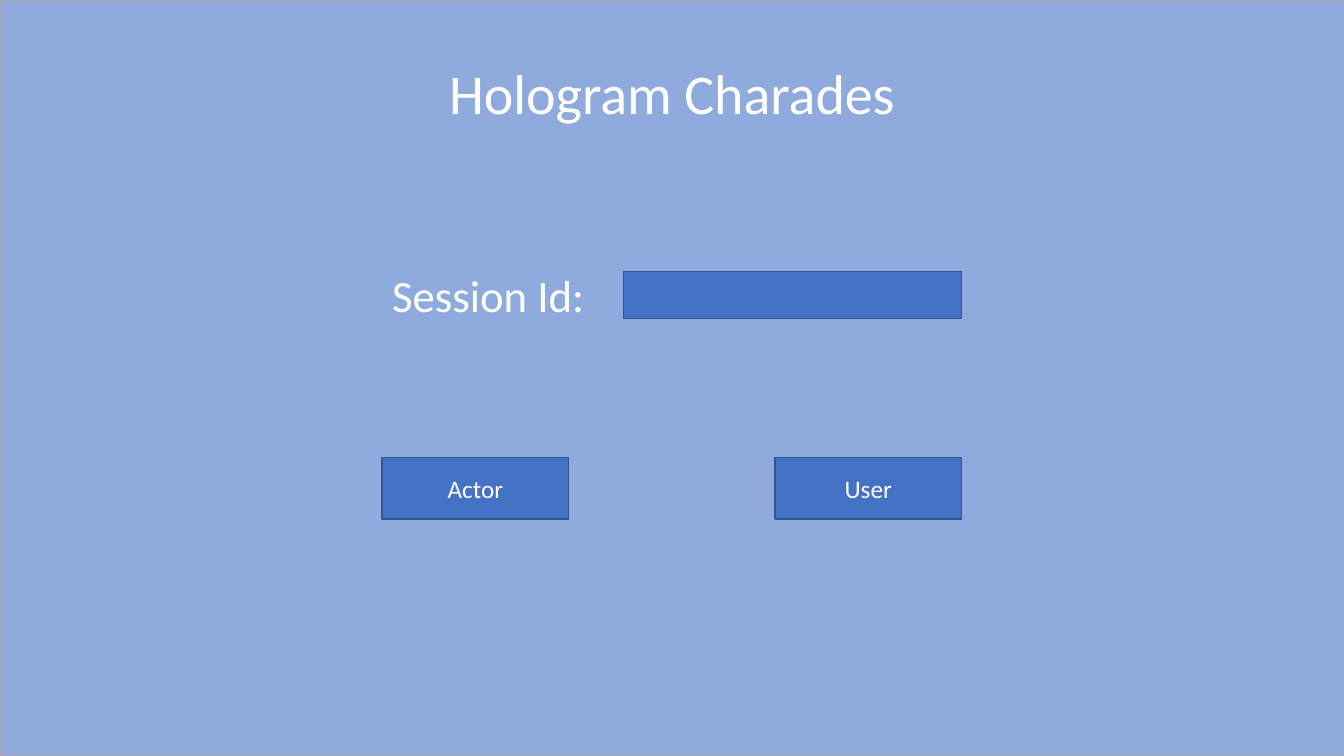
import pptx
import pptx.dml.color
import pptx.enum.shapes
import pptx.enum.text
import pptx.util
from pptx.util import Cm

FONT = "Calibri"
WHITE = "FFFFFF"
BACKDROP = "8FAADC"
BACKDROP_EDGE = "A6A6A6"
CONTROL = "4472C4"
CONTROL_EDGE = "325491"

SLIDE_WIDTH, SLIDE_HEIGHT = 33.87, 19.05
FORM_LEFT, FORM_RIGHT = 9.63, 24.23
BUTTON_WIDTH = 4.7


def color(hex_code):
    return pptx.dml.color.RGBColor.from_string(hex_code)


def write(frame, text, size, alignment):
    frame.text = text
    paragraph = frame.paragraphs[0]
    paragraph.alignment = alignment
    font = paragraph.runs[0].font
    font.name = FONT
    font.size = pptx.util.Pt(size)
    font.color.rgb = color(WHITE)


def add_panel(slide, left, top, width, height, fill, edge):
    panel = slide.shapes.add_shape(
        pptx.enum.shapes.MSO_SHAPE.RECTANGLE,
        Cm(left), Cm(top), Cm(width), Cm(height))
    panel.shadow.inherit = False
    panel.fill.solid()
    panel.fill.fore_color.rgb = color(fill)
    panel.line.color.rgb = color(edge)
    panel.line.width = pptx.util.Pt(1)
    return panel


def add_label(slide, left, top, width, height, text, size, alignment):
    label = slide.shapes.add_textbox(Cm(left), Cm(top), Cm(width), Cm(height))
    frame = label.text_frame
    frame.word_wrap = True
    frame.auto_size = pptx.enum.text.MSO_AUTO_SIZE.SHAPE_TO_FIT_TEXT
    write(frame, text, size, alignment)


def add_button(slide, left, caption):
    button = add_panel(slide, left, 11.53, BUTTON_WIDTH, 1.55,
                       CONTROL, CONTROL_EDGE)
    button.text_frame.vertical_anchor = pptx.enum.text.MSO_ANCHOR.MIDDLE
    write(button.text_frame, caption, 18, pptx.enum.text.PP_ALIGN.CENTER)


def main():
    deck = pptx.Presentation()
    deck.slide_width = Cm(SLIDE_WIDTH)
    deck.slide_height = Cm(SLIDE_HEIGHT)
    slide = deck.slides.add_slide(deck.slide_layouts[6])

    add_panel(slide, 0, 0, SLIDE_WIDTH, SLIDE_HEIGHT, BACKDROP, BACKDROP_EDGE)
    add_label(slide, 10.57, 1.35, 12.73, 1.96, "Hologram Charades", 40,
              pptx.enum.text.PP_ALIGN.CENTER)

    add_label(slide, FORM_LEFT, 6.63, FORM_RIGHT - FORM_LEFT, 1.63,
              "Session Id:", 32, pptx.enum.text.PP_ALIGN.LEFT)
    field_width = 8.51
    add_panel(slide, FORM_RIGHT - field_width, 6.85, field_width, 1.17,
              CONTROL, CONTROL_EDGE)

    add_button(slide, FORM_LEFT, "Actor")
    add_button(slide, FORM_RIGHT - BUTTON_WIDTH, "User")

    deck.save("out.pptx")


if __name__ == "__main__":
    main()
